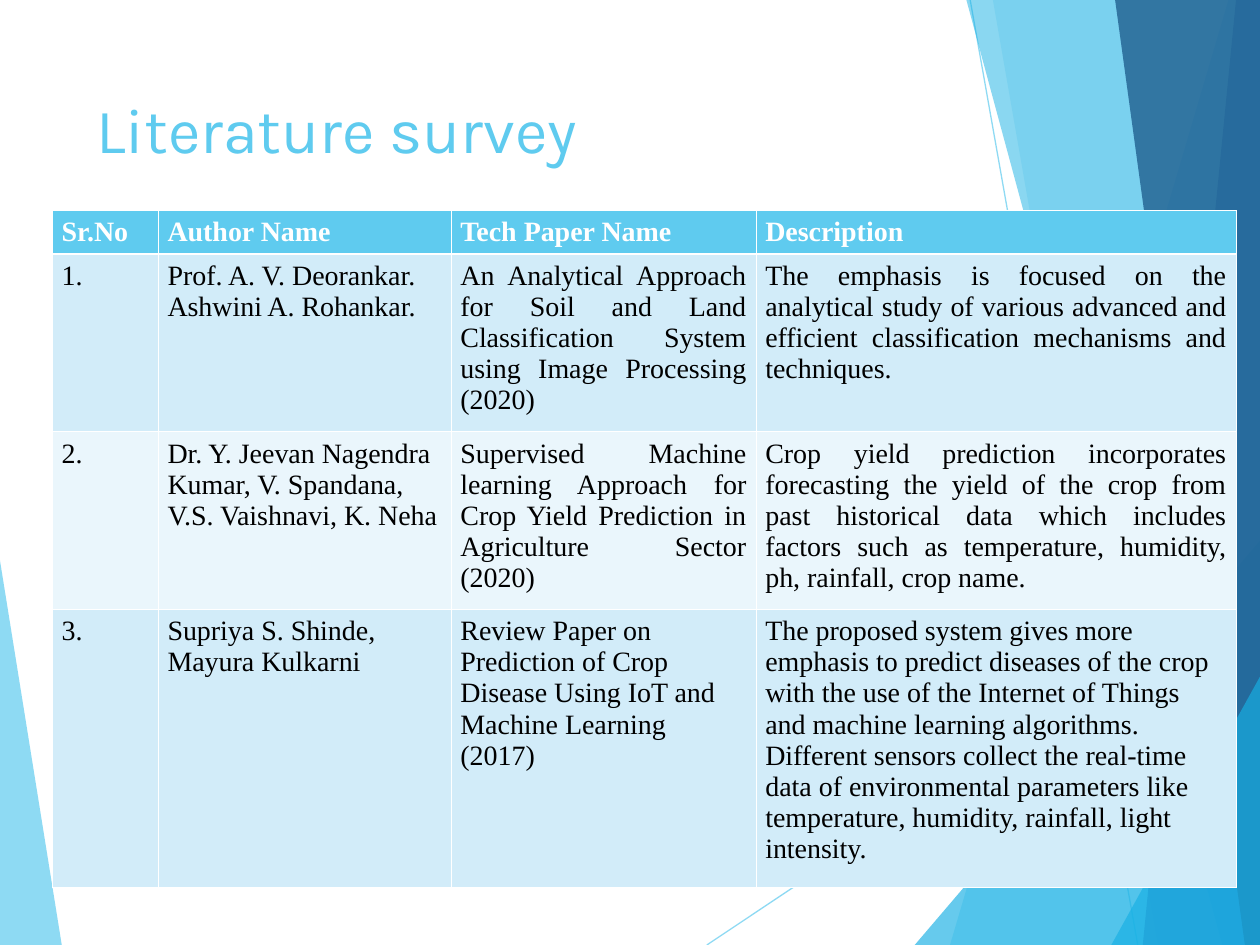
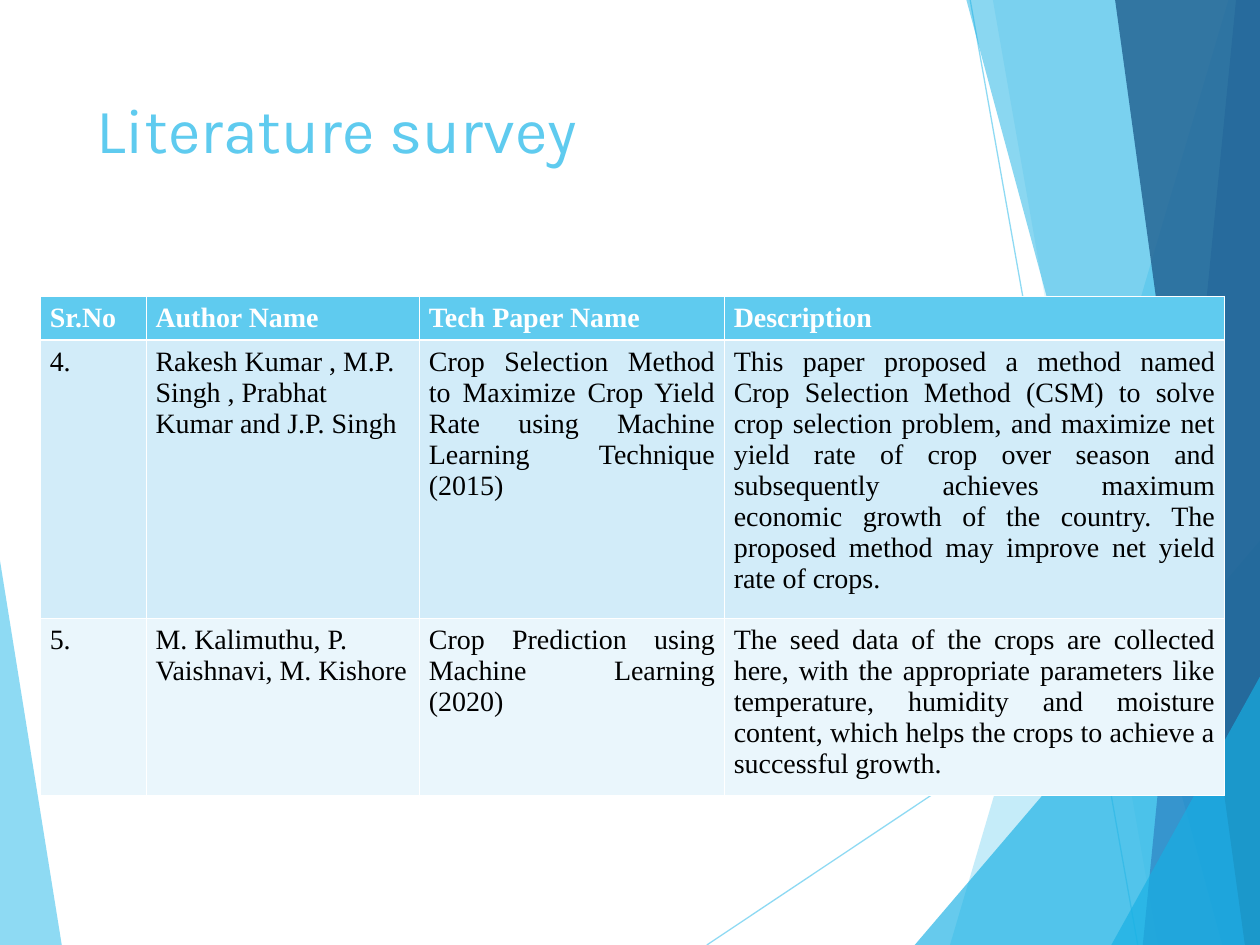
from dataclasses import dataclass
from typing import Any

from lxml.etree import SubElement
from pptx import Presentation
from pptx.dml.color import RGBColor
from pptx.enum.text import MSO_ANCHOR, MSO_AUTO_SIZE, PP_ALIGN
from pptx.enum.shapes import MSO_CONNECTOR
from pptx.oxml.ns import qn
from pptx.util import Inches, Pt

WIDTH, HEIGHT = Inches(10), Inches(7.5)
COLUMNS, ROWS = 100, 75
SKY, CYAN, BLUE, NAVY = "5FCBEF", "17B0E4", "2E83C3", "236292"
WHITE, BLACK = "FFFFFF", "000000"
BANDS = ("D2ECF9", "EAF6FC")
THIN, THICK = Pt(0.45), Pt(1.47)
LEFT, JUSTIFIED = PP_ALIGN.LEFT, PP_ALIGN.JUSTIFY
HEADER = ("Sr.No", "Author Name", "Tech Paper Name", "Description")
ROW_PADDING, LINE_HEIGHT = 0.8, 2.66

TITLE_FRAME = dict(vertical_anchor=MSO_ANCHOR.TOP, word_wrap=True, auto_size=MSO_AUTO_SIZE.NONE)
TITLE_FONT = dict(name="Karla", size=Pt(36), bold=False)
HEADER_FONT = dict(name="Times New Roman", size=Pt(16), bold=True)
BODY_FONT = HEADER_FONT | dict(bold=False)


@dataclass(frozen=True)
class Facet:
    colour: str
    opacity: int
    corners: tuple[tuple[float, float], ...]


@dataclass(frozen=True)
class Ray:
    start: tuple[float, float]
    end: tuple[float, float]


@dataclass(frozen=True)
class Paper:
    number: str
    authors: str
    name: str
    description: str
    lines: int
    align: PP_ALIGN = JUSTIFIED


@dataclass(frozen=True)
class Survey:
    left: float
    top: float
    widths: tuple[float, ...]
    papers: tuple[Paper, ...]


BACKDROP = (
    Facet(SKY, 70, ((0, 44.5), (4.9, 75), (0, 75))),
    Ray((56.1, 75), (100, 45.7)),
    Ray((77, 0), (90.3, 75)),
    Facet(SKY, 36, ((97.5, 0), (75.4, 75), (100, 75), (100, 0))),
    Facet(SKY, 20, ((78.8, 0), (91.9, 75), (100, 75), (100, 0))),
    Facet(CYAN, 66, ((72.6, 75), (100, 42.9), (100, 75))),
    Facet(CYAN, 50, ((76.7, 0), (97, 75), (100, 75), (100, 0))),
    Facet(BLUE, 70, ((98.1, 0), (90.7, 75), (100, 75), (100, 0))),
    Facet(NAVY, 82, ((88.5, 0), (98.8, 75), (100, 75), (100, 0))),
    Facet(CYAN, 66, ((88.2, 75), (100, 53.7), (100, 75))),
)

SURVEYS = (
    Survey(4.15, 16.7, (8.4, 23.25, 24.2, 38.1), (
        Paper("1.", "Prof. A. V. Deorankar.\nAshwini A. Rohankar.",
              "An Analytical Approach for Soil and Land Classification System "
              "using Image Processing (2020)",
              "The emphasis is focused on the analytical study of various advanced "
              "and efficient classification mechanisms and techniques.", 5),
        Paper("2.", "Dr. Y. Jeevan Nagendra Kumar, V. Spandana, V.S. Vaishnavi, K. Neha",
              "Supervised Machine learning Approach for Crop Yield Prediction "
              "in Agriculture Sector (2020)",
              "Crop yield prediction incorporates forecasting the yield of the crop "
              "from past historical data which includes factors such as temperature, "
              "humidity, ph, rainfall, crop name.", 5),
        Paper("3.", "Supriya S. Shinde, Mayura Kulkarni",
              "Review Paper on Prediction of Crop Disease Using IoT and "
              "Machine Learning (2017)",
              "The proposed system gives more emphasis to predict diseases of the crop "
              "with the use of the Internet of Things and machine learning algorithms. "
              "Different sensors collect the real-time data of environmental parameters "
              "like temperature, humidity, rainfall, light intensity.", 8, LEFT),
    )),
    Survey(3.2, 23.5, (8.4, 21.7, 24.2, 39.7), (
        Paper("4.", "Rakesh Kumar , M.P. Singh , Prabhat Kumar and J.P. Singh",
              "Crop Selection Method to Maximize Crop Yield Rate using "
              "Machine Learning Technique (2015)",
              "This paper proposed a method named Crop Selection Method (CSM) to solve "
              "crop selection problem, and maximize net yield rate of crop over season "
              "and subsequently achieves maximum economic growth of the country. "
              "The proposed method may improve net yield rate of crops.", 8),
        Paper("5.", "M. Kalimuthu, P. Vaishnavi, M. Kishore",
              "Crop Prediction using Machine Learning (2020)",
              "The seed data of the crops are collected here, with the appropriate "
              "parameters like temperature, humidity and moisture content, which helps "
              "the crops to achieve a successful growth.", 5),
    )),
)


def across(columns: float) -> int:
    return round(WIDTH * columns / COLUMNS)


def down(rows: float) -> int:
    return round(HEIGHT * rows / ROWS)


def point(place: tuple[float, float]) -> tuple[int, int]:
    return across(place[0]), down(place[1])


def apply(target: Any, values: dict[str, Any]) -> None:
    for name, value in values.items():
        setattr(target, name, value)


def paint(fill: Any, colour: str, opacity: int = 100) -> None:
    fill.solid()
    fill.fore_color.rgb = RGBColor.from_string(colour)
    if opacity < 100:
        solid = fill._xPr.find(qn("a:solidFill"))
        SubElement(solid[0], qn("a:alpha"), val=str(opacity * 1000))


def style_text(frame: Any, font: dict[str, Any], colour: str, align: PP_ALIGN) -> None:
    for para in frame.paragraphs:
        para.alignment = align
        for span in para.runs:
            apply(span.font, font)
            paint(span.font.fill, colour)


def draw_facet(page: Any, facet: Facet) -> None:
    start, *others = map(point, facet.corners)
    builder = page.shapes.build_freeform(*start, scale=1.0)
    builder.add_line_segments(others, close=True)
    shape = builder.convert_to_shape()
    shape.shadow.inherit = False
    shape.line.fill.background()
    paint(shape.fill, facet.colour, facet.opacity)


def draw_ray(page: Any, ray: Ray) -> None:
    line = page.shapes.add_connector(MSO_CONNECTOR.STRAIGHT, *point(ray.start), *point(ray.end))
    line.line.width = Pt(0.75)
    paint(line.line.fill, SKY, 70)
    SubElement(line._element.spPr, qn("a:effectLst"))


def draw_title(page: Any, text: str) -> None:
    title = page.shapes.title
    apply(title, dict(left=across(6.65), top=down(6.7), width=across(69.4), height=down(14.4)))
    title.text_frame.text = text
    apply(title.text_frame, TITLE_FRAME)
    style_text(title.text_frame, TITLE_FONT, SKY, LEFT)


def draw_borders(cell: Any, top: int, bottom: int) -> None:
    properties = cell._tc.get_or_add_tcPr()
    for side, width in dict(lnL=THIN, lnR=THIN, lnT=top, lnB=bottom).items():
        border = SubElement(properties, qn(f"a:{side}"), w=str(width))
        SubElement(SubElement(border, qn("a:solidFill")), qn("a:srgbClr"), val=WHITE)


def draw_cell(cell: Any, text: str, row: int, align: PP_ALIGN) -> None:
    cell.text = text
    apply(cell, dict(margin_left=across(0.75), margin_right=across(0.75),
                     margin_top=down(0.5), margin_bottom=down(0.5)))
    draw_borders(cell, THICK if row == 1 else THIN, THICK if row == 0 else THIN)
    if row == 0:
        paint(cell.fill, SKY)
        style_text(cell.text_frame, HEADER_FONT, WHITE, align)
    else:
        paint(cell.fill, BANDS[(row - 1) % 2])
        style_text(cell.text_frame, BODY_FONT, BLACK, align)


def draw_survey(page: Any, survey: Survey) -> None:
    records = (Paper(*HEADER, lines=1, align=LEFT), *survey.papers)
    heights = [ROW_PADDING + LINE_HEIGHT * record.lines for record in records]
    table = page.shapes.add_table(
        len(records), len(HEADER), across(survey.left), down(survey.top),
        across(sum(survey.widths)), down(sum(heights))).table
    for column, width in zip(table.columns, survey.widths):
        column.width = across(width)
    for row, (record, height) in enumerate(zip(records, heights)):
        table.rows[row].height = down(height)
        texts = (record.number, record.authors, record.name, record.description)
        for column, text in enumerate(texts):
            align = record.align if column >= 2 else LEFT
            draw_cell(table.cell(row, column), text, row, align)


def main() -> None:
    deck = Presentation()
    apply(deck, dict(slide_width=WIDTH, slide_height=HEIGHT))
    for survey in SURVEYS:
        page = deck.slides.add_slide(deck.slide_layouts[5])
        for part in BACKDROP:
            if isinstance(part, Facet):
                draw_facet(page, part)
            else:
                draw_ray(page, part)
        draw_title(page, "Literature survey")
        draw_survey(page, survey)
    deck.save("out.pptx")


if __name__ == "__main__":
    main()
